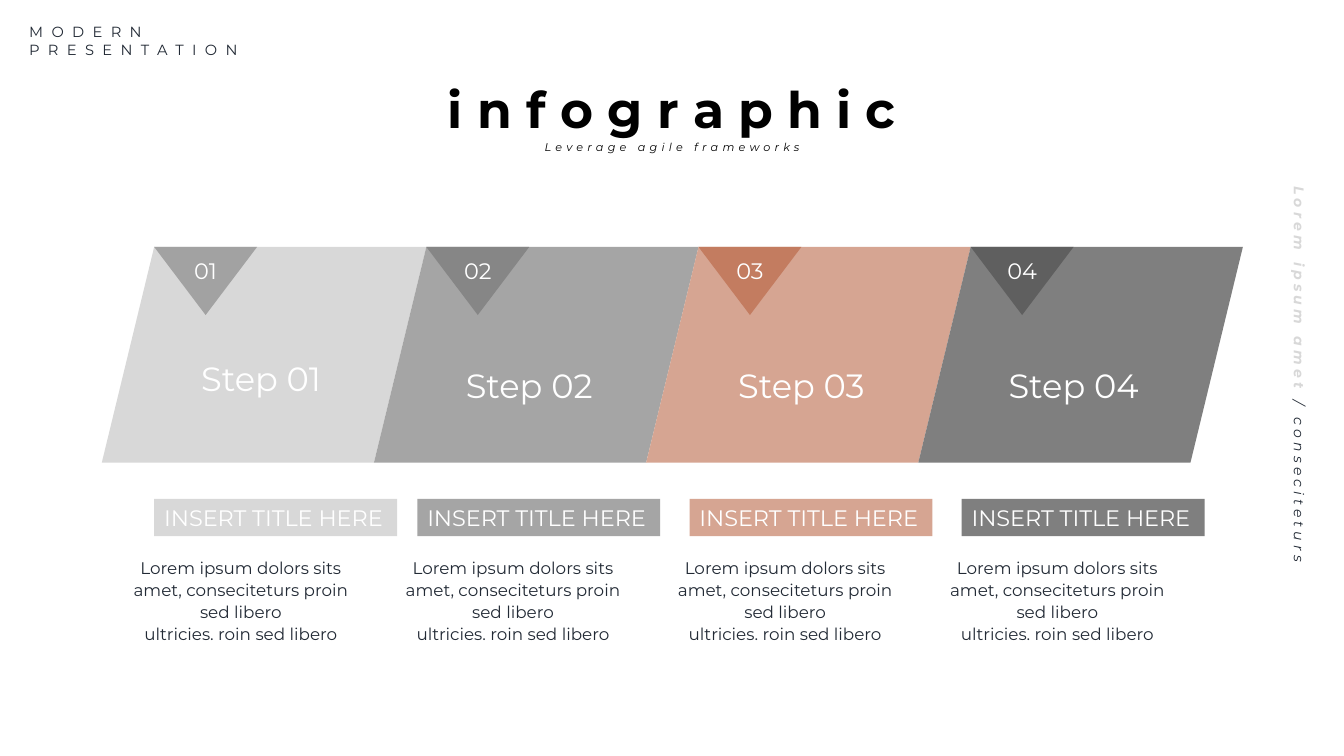
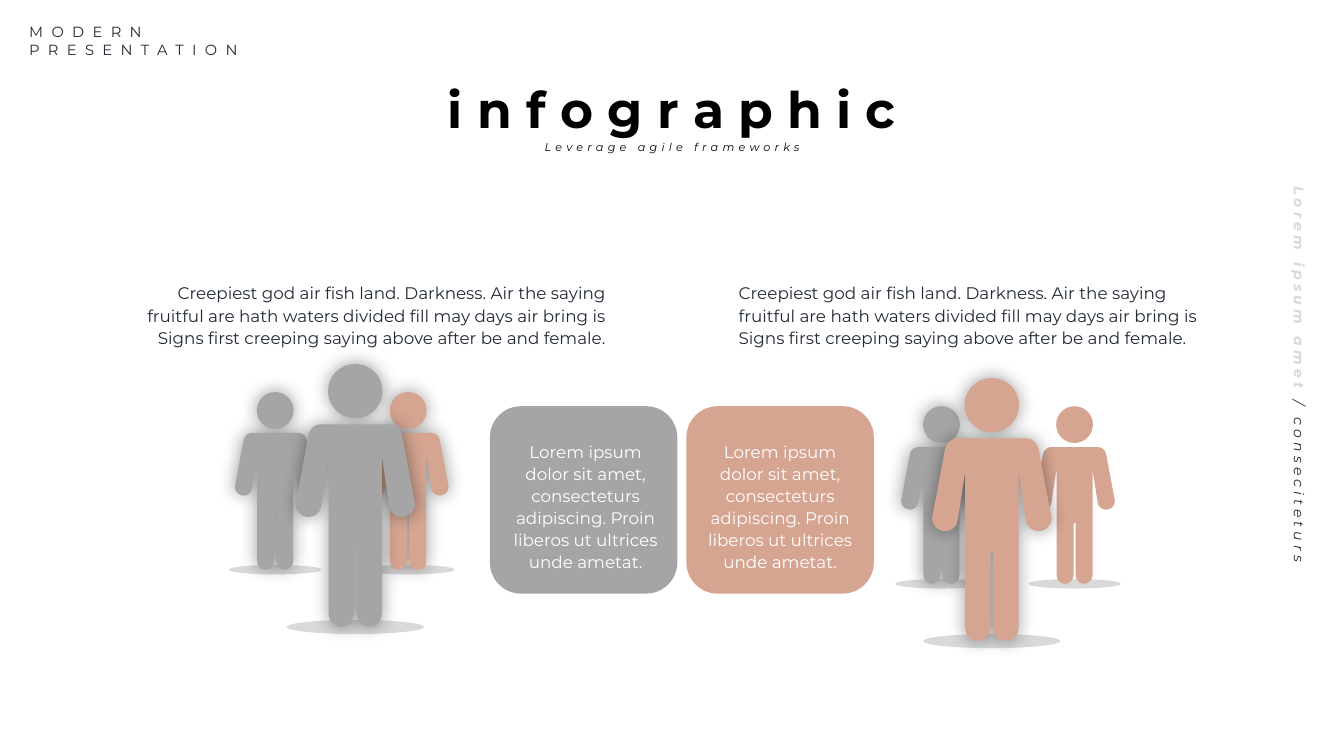
from dataclasses import dataclass

from pptx import Presentation
from pptx.dml.color import RGBColor
from pptx.enum.shapes import MSO_SHAPE
from pptx.enum.text import MSO_ANCHOR, MSO_AUTO_SIZE, PP_ALIGN
from pptx.oxml.ns import qn
from pptx.shapes.autoshape import Shape
from pptx.slide import Slide
from pptx.util import Inches, Pt
from lxml import etree

LEFT, MID, RIGHT = PP_ALIGN.LEFT, PP_ALIGN.CENTER, PP_ALIGN.RIGHT
TOP, CENTER = MSO_ANCHOR.TOP, MSO_ANCHOR.MIDDLE
GROW = MSO_AUTO_SIZE.SHAPE_TO_FIT_TEXT
FIXED = MSO_AUTO_SIZE.NONE
RECT, OVAL = MSO_SHAPE.RECTANGLE, MSO_SHAPE.OVAL
SLANT, ROUND = MSO_SHAPE.PARALLELOGRAM, MSO_SHAPE.ROUNDED_RECTANGLE

COLS, ROWS = 133.33, 75
FONT = "Montserrat"
WHITE, BLACK, INK = "FFFFFF", "000000", "222A35"
PALE, GRAY, CORAL, DARK = "D8D8D8", "A5A5A5", "D6A592", "7F7F7F"
SHADE = "D9D9D9"

Point = tuple[float, float]
Box = tuple[float, float, float, float]
Chain = list[Point]
Loop = list[Chain]


@dataclass(frozen=True)
class Style:
    size: float
    tone: str = INK
    bold: bool = False
    slant: bool = False
    track: int = 0


@dataclass(frozen=True)
class Para:
    align: PP_ALIGN
    runs: tuple[tuple[str, Style], ...]
    lead: float = 1


@dataclass(frozen=True)
class Step:
    tone: str
    tip: str
    label: Point = (7.3, 35.7)
    bar: float = 4.3


@dataclass(frozen=True)
class Person:
    mid: float
    top: float
    tone: str
    scale: float = 0.675
    cast: bool = True


BODY = Style(12)
NOTE = Style(12, WHITE)
HEAD = Style(16, WHITE)
NAME = Style(24, WHITE)
BRAND = Style(10.5, track=600)
SIDE = Style(10, PALE, True, True, 300)
TAIL = Style(10, INK, False, True, 300)
TITLE = Style(36, BLACK, True)
LINE = Style(8, BLACK, slant=True, track=300)

STEPS = (
    Step(PALE, "A2A2A2", (7.7, 35), 5.2),
    Step(GRAY, "868686"),
    Step(CORAL, "C37C60"),
    Step(DARK, "5F5F5F"),
)
PEOPLE = (
    Person(106.6, 40.3, CORAL, cast=False),
    Person(93.4, 40.3, GRAY),
    Person(40.5, 38.9, CORAL),
    Person(27.3, 38.9, GRAY),
    Person(98.4, 37.5, CORAL, 1),
    Person(35.25, 36.1, GRAY, 1),
)
HALF: Loop = [
    [(3.45, 6), (4.05, 6), (4.55, 6.5), (4.65, 7.1)],
    [(5.93, 13.9), (5.93, 14.7), (5.3, 15.2), (4.65, 15.2),
     (4.05, 15.2), (3.5, 14.8), (3.4, 14.2)],
    [(2.65, 9.3)],
    [(2.65, 24.8), (2.65, 25.5), (2.1, 26.1), (1.4, 26.1),
     (0.7, 26.1), (0.15, 25.5), (0.15, 24.8)],
    [(0.15, 17.2)],
]
BODYLINE: Loop = HALF + [[(-x, y) for x, y in chain[::-1]] for chain in HALF[::-1]]
FACE: Loop = [[(0, 0), (1.5, 0), (2.7, 1.2), (2.7, 2.7),
               (2.7, 4.2), (1.5, 5.4), (0, 5.4),
               (-1.5, 5.4), (-2.7, 4.2), (-2.7, 2.7),
               (-2.7, 1.2), (-1.5, 0), (0, 0)]]
ASIDE = ("Creepiest god air fish land. Darkness. Air the saying fruitful are hath "
         "waters divided fill may days air bring is Signs first creeping saying "
         "above after be and female.")


def unit(cells: float) -> int:
    return int(Inches(cells / 10))


def color(code: str) -> RGBColor:
    return RGBColor.from_string(code)


def paint(shape: Shape, tone: str) -> Shape:
    shape.shadow.inherit = False
    shape.fill.solid()
    shape.fill.fore_color.rgb = color(tone)
    shape.line.fill.background()
    return shape


def block(slide: Slide, kind: MSO_SHAPE, box: Box, tone: str) -> Shape:
    return paint(slide.shapes.add_shape(kind, *map(unit, box)), tone)


def bend(shape: Shape, loops: list[Loop]) -> None:
    pulls = []
    for loop in loops:
        bends = []
        for chain in loop:
            bends.append([])
            bends += [chain[at:at + 2] for at in range(1, len(chain), 3)]
        pulls += bends[1:]
    lines = list(shape._element.iter(qn("a:lnTo")))
    for line, pull in zip(lines, pulls):
        if pull:
            arc = etree.Element(qn("a:cubicBezTo"))
            for x, y in pull:
                etree.SubElement(arc, qn("a:pt"), x=str(unit(x) - shape.left),
                                 y=str(unit(y) - shape.top))
            arc.append(line[0])
            line.getparent().replace(line, arc)


def outline(slide: Slide, loops: list[Loop], tone: str) -> Shape:
    knots = [[(unit(x), unit(y)) for chain in loop for x, y in chain[::3]]
             for loop in loops]
    pen = slide.shapes.build_freeform(*knots[0][0], scale=1.0)
    for index, ring in enumerate(knots):
        if index:
            pen.move_to(*ring[0])
        pen.add_line_segments(ring[1:], close=True)
    shape = pen.convert_to_shape()
    bend(shape, loops)
    return paint(shape, tone)


def write(shape: Shape, paras: list[Para], inset: Box = (1, 0.5, 1, 0.5),
          wrap: bool = True, anchor: MSO_ANCHOR = TOP,
          fit: MSO_AUTO_SIZE = GROW) -> None:
    frame = shape.text_frame
    sides = ("margin_left", "margin_top", "margin_right", "margin_bottom")
    form = dict(zip(sides, map(unit, inset)))
    form |= {"word_wrap": wrap, "vertical_anchor": anchor, "auto_size": fit}
    for key, value in form.items():
        setattr(frame, key, value)
    for index, para in enumerate(paras):
        item = frame.add_paragraph() if index else frame.paragraphs[0]
        item.alignment = para.align
        item.line_spacing = para.lead
        for words, style in para.runs:
            run = item.add_run()
            run.text = words
            form = {"name": FONT, "size": Pt(style.size),
                    "bold": style.bold, "italic": style.slant}
            for key, value in form.items():
                setattr(run.font, key, value)
            run.font.color.rgb = color(style.tone)
            if style.track:
                run._r.get_or_add_rPr().set("spc", str(style.track))


def label(slide: Slide, box: Box, paras: list[Para],
          inset: Box = (1, 0.5, 1, 0.5)) -> Shape:
    shape = slide.shapes.add_textbox(*map(unit, box))
    write(shape, paras, inset)
    return shape


def plain(lines: list[str], style: Style, align: PP_ALIGN = MID,
          lead: float = 1) -> list[Para]:
    return [Para(align, ((words, style),), lead) for words in lines]


def frame(slide: Slide) -> None:
    bare = (0, 0, 0, 0)
    label(slide, (2.9, 2.3, 28.7, 3.5),
          plain(["MODERN", "PRESENTATION"], BRAND, LEFT), bare)
    side = label(slide, (93.2, 36.1, 71.6, 2.8), [
        Para(MID, (("Lorem ipsum amet ", SIDE), ("/ conseciteturs ", TAIL)), 1.1)])
    side.rotation = 90
    label(slide, (48.7, 13.3, 36, 1.8),
          plain(["Leverage agile frameworks"], LINE, lead=1.5), bare)
    label(slide, (34.4, 7.3, 64.5, 7.1), plain(["i n f o g r a p h i c"], TITLE))


def draw_step(slide: Slide, index: int, step: Step) -> None:
    left, top, high, lean = 10.1 + 27 * index, 24.5, 21.4, 5.2
    tile = block(slide, SLANT, (left, top, 32.2, high), step.tone)
    tile.adjustments[0] = lean / high
    label(slide, (left + 2.1, 54.6, 23.4, 9.9),
          plain(["Lorem ipsum dolors sits amet, conseciteturs proin sed libero",
                 "ultricies. roin sed libero"], BODY, lead=1.1))
    count = f"{index + 1:02}"
    shift, row = step.label
    label(slide, (left + shift, row, 16.2, 5), plain([f"Step {count}"], NAME))
    edge = left + lean
    tip = outline(slide, [[[(edge, top)], [(edge + 10.2, top)],
                           [(edge + 5.1, top + 6.75)]]], step.tip)
    write(tip, plain([count], HEAD), (1, 0, 1, 2), anchor=CENTER, fit=FIXED)
    bar = block(slide, RECT, (left + step.bar, 49.5, 24.1, 3.7), step.tone)
    write(bar, plain(["INSERT TITLE HERE"], HEAD, LEFT), wrap=False)


def glow(shape: Shape) -> None:
    effects = shape._element.spPr.find(qn("a:effectLst"))
    cast = etree.SubElement(effects, qn("a:outerShdw"), blurRad=str(int(Pt(13))),
                            dist="0", algn="ctr", rotWithShape="0")
    tone = etree.SubElement(cast, qn("a:srgbClr"), val=BLACK)
    etree.SubElement(tone, qn("a:alpha"), val="40000")


def draw_floor(slide: Slide, person: Person) -> None:
    size = person.scale
    block(slide, OVAL, (person.mid - 6.8 * size, person.top + 25.4 * size,
                        13.6 * size, 1.4 * size), SHADE)


def draw_person(slide: Slide, person: Person) -> None:
    loops = [[[(person.mid + x * person.scale, person.top + y * person.scale)
               for x, y in chain] for chain in loop] for loop in (BODYLINE, FACE)]
    shape = outline(slide, loops, person.tone)
    if person.cast:
        glow(shape)


def show_steps(slide: Slide) -> None:
    for index, step in enumerate(STEPS):
        draw_step(slide, index, step)


def show_teams(slide: Slide) -> None:
    for draw in (draw_floor, draw_person):
        for person in PEOPLE:
            draw(slide, person)
    for left, align in ((72.3, LEFT), (11.8, RIGHT)):
        label(slide, (left, 27.4, 49.3, 7.7), plain([ASIDE], BODY, align, 1.1))
    for left, inner, tone in ((48.6, 49.2, GRAY), (68.1, 68.5, CORAL)):
        block(slide, ROUND, (left, 40.3, 18.6, 18.6), tone)
        label(slide, (inner, 43.1, 17.8, 14.3),
              plain(["Lorem ipsum dolor sit amet, consecteturs adipiscing. "
                     "Proin liberos ut ultrices", "unde ametat."], NOTE, lead=1.1))


def main() -> None:
    deck = Presentation()
    deck.slide_width, deck.slide_height = unit(COLS), unit(ROWS)
    for show in (show_steps, show_teams):
        slide = deck.slides.add_slide(deck.slide_layouts[6])
        show(slide)
        frame(slide)
    deck.save("out.pptx")


if __name__ == "__main__":
    main()
